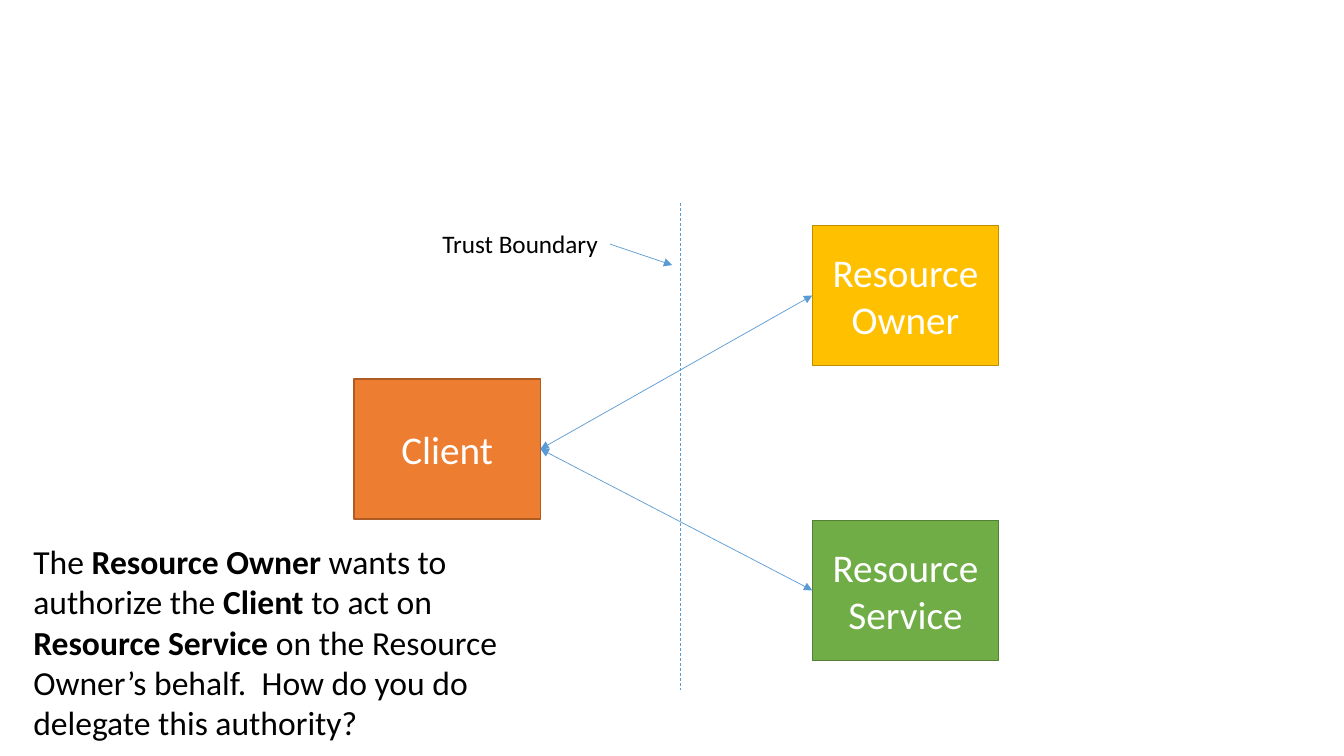
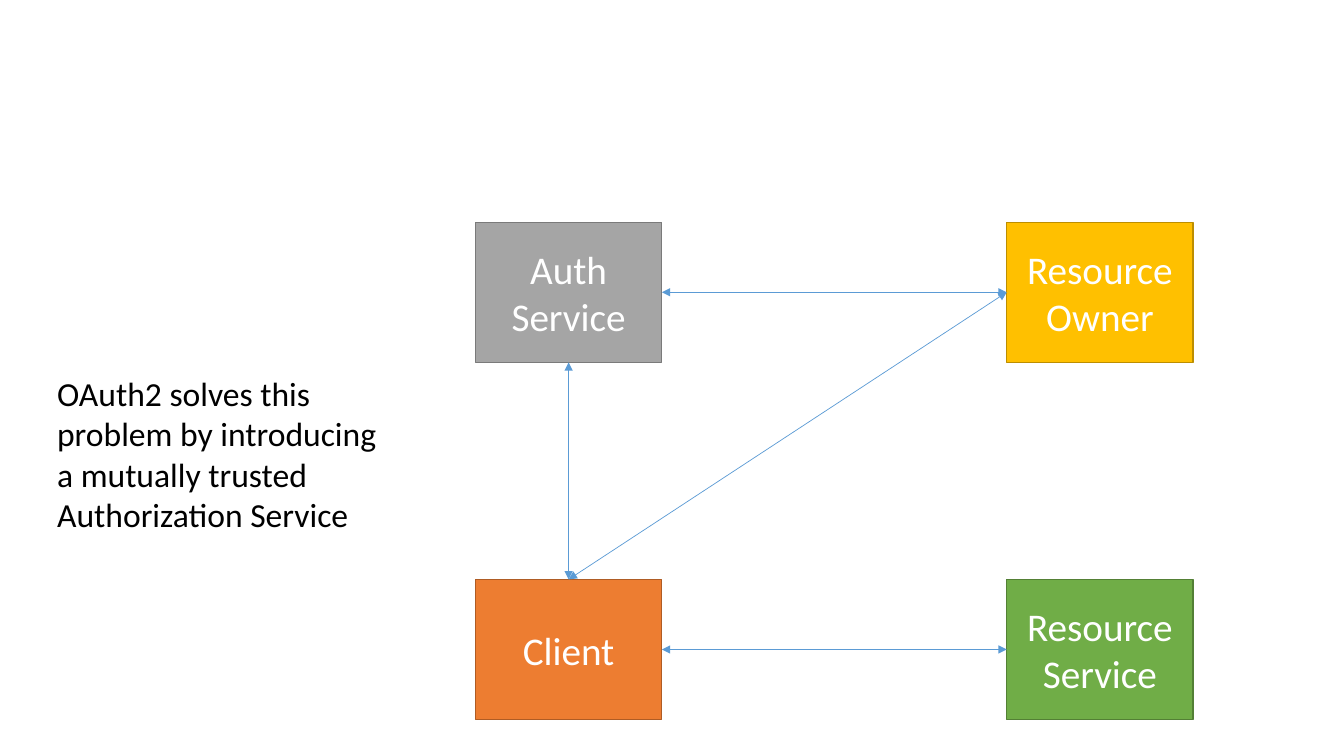
"""Build two slides on delegating authority with OAuth2."""
from lxml.etree import SubElement
from pptx import Presentation
from pptx.dml.color import RGBColor
from pptx.enum.dml import MSO_LINE
from pptx.enum.shapes import MSO_CONNECTOR, MSO_SHAPE
from pptx.enum.text import MSO_ANCHOR, PP_ALIGN
from pptx.oxml.ns import qn
from pptx.util import Cm, Pt

FONT = "Calibri"
BLACK = RGBColor(0x00, 0x00, 0x00)
WHITE = RGBColor(0xFF, 0xFF, 0xFF)
BLUE = RGBColor(0x5B, 0x9B, 0xD5)
PARTY_COLORS = {
    "Client": (RGBColor(0xED, 0x7D, 0x31), RGBColor(0xAF, 0x5C, 0x24)),
    "Resource Service": (RGBColor(0x70, 0xAD, 0x47), RGBColor(0x53, 0x80, 0x35)),
    "Resource Owner": (RGBColor(0xFF, 0xC0, 0x00), RGBColor(0xBD, 0x8E, 0x00)),
    "Auth Service": (RGBColor(0xA5, 0xA5, 0xA5), RGBColor(0x7A, 0x7A, 0x7A)),
}
BOX_WIDTH, BOX_HEIGHT = 4.7, 3.53
TOP, LEFT, BOTTOM, RIGHT = range(4)
GRID_LEFT, GRID_RIGHT = 11.98, 25.37
GRID_TOP, GRID_BOTTOM = 5.6, 14.6

SLIDES = [
    {
        "parties": {
            "Client": (8.92, 9.55),
            "Resource Service": (20.47, 13.11),
            "Resource Owner": (20.47, 5.68),
        },
        "links": [
            ("Client", RIGHT, "Resource Owner", LEFT),
            ("Client", RIGHT, "Resource Service", LEFT),
        ],
        "lines": [
            {"start": (17.15, 5.11), "end": (17.15, 17.4), "dashed": True},
            {"start": (15.37, 6.15), "end": (16.94, 6.68), "tail": True},
        ],
        "texts": [
            {
                "box": (0.59, 13.51, 13.54, 5.39),
                "size": 24,
                "runs": [
                    ("The ", False),
                    ("Resource Owner ", True),
                    ("wants to authorize the ", False),
                    ("Client", True),
                    (" to act on ", False),
                    ("Resource Service ", True),
                    ("on the Resource Owner’s behalf.  How do you do "
                     "delegate this authority?", False),
                ],
            },
            {
                "box": (10.9, 5.64, 4.47, 1.03),
                "size": 18,
                "runs": [("Trust Boundary", False)],
                "wrap": False,
            },
        ],
    },
    {
        "parties": {
            "Client": (GRID_LEFT, GRID_BOTTOM),
            "Resource Service": (GRID_RIGHT, GRID_BOTTOM),
            "Resource Owner": (GRID_RIGHT, GRID_TOP),
            "Auth Service": (GRID_LEFT, GRID_TOP),
        },
        "links": [
            ("Auth Service", RIGHT, "Resource Owner", LEFT),
            ("Client", RIGHT, "Resource Service", LEFT),
            ("Auth Service", BOTTOM, "Client", TOP),
            ("Resource Owner", LEFT, "Client", TOP),
        ],
        "lines": [],
        "texts": [
            {
                "box": (1.19, 9.27, 8.81, 4.37),
                "size": 24,
                "runs": [("OAuth2 solves this problem by introducing a mutually "
                          "trusted Authorization Service", False)],
            },
        ],
    },
]


def style_font(paragraph, size, color):
    paragraph.font.name = FONT
    paragraph.font.size = Pt(size)
    paragraph.font.color.rgb = color


def add_party(slide, name, left, top):
    shape = slide.shapes.add_shape(
        MSO_SHAPE.RECTANGLE, Cm(left), Cm(top), Cm(BOX_WIDTH), Cm(BOX_HEIGHT))
    fill, outline = PARTY_COLORS[name]
    shape.shadow.inherit = False
    shape.fill.solid()
    shape.fill.fore_color.rgb = fill
    shape.line.color.rgb = outline
    shape.line.width = Pt(1)
    shape.text_frame.word_wrap = True
    shape.text_frame.vertical_anchor = MSO_ANCHOR.MIDDLE
    paragraph = shape.text_frame.paragraphs[0]
    paragraph.text = name
    paragraph.alignment = PP_ALIGN.CENTER
    style_font(paragraph, 28, WHITE)
    return shape


def add_line(slide, start=(0, 0), end=(0, 0), dashed=False, head=False, tail=False):
    points = [Cm(value) for value in (*start, *end)]
    connector = slide.shapes.add_connector(MSO_CONNECTOR.STRAIGHT, *points)
    connector.line.color.rgb = BLUE
    connector.line.width = Pt(0.5)
    if dashed:
        connector.line.dash_style = MSO_LINE.DASH
    properties = connector._element.spPr
    outline = properties.find(qn("a:ln"))
    for tag, wanted in (("a:headEnd", head), ("a:tailEnd", tail)):
        if wanted:
            SubElement(outline, qn(tag), type="triangle")
    SubElement(properties, qn("a:effectLst"))
    return connector


def add_text(slide, box, size, runs, wrap=True):
    text_box = slide.shapes.add_textbox(*[Cm(value) for value in box])
    text_box.text_frame.word_wrap = wrap
    paragraph = text_box.text_frame.paragraphs[0]
    style_font(paragraph, size, BLACK)
    for text, bold in runs:
        run = paragraph.add_run()
        run.text = text
        if bold:
            run.font.bold = True


def add_diagram(presentation, content):
    slide = presentation.slides.add_slide(presentation.slide_layouts[6])
    parties = {name: add_party(slide, name, *corner)
               for name, corner in content["parties"].items()}
    for line in content["lines"]:
        add_line(slide, **line)
    for source, source_side, target, target_side in content["links"]:
        connector = add_line(slide, head=True, tail=True)
        connector.begin_connect(parties[source], source_side)
        connector.end_connect(parties[target], target_side)
    for text in content["texts"]:
        add_text(slide, **text)


def main():
    presentation = Presentation()
    presentation.slide_width = Cm(33.87)
    presentation.slide_height = Cm(19.05)
    for content in SLIDES:
        add_diagram(presentation, content)
    presentation.save("out.pptx")


if __name__ == "__main__":
    main()
